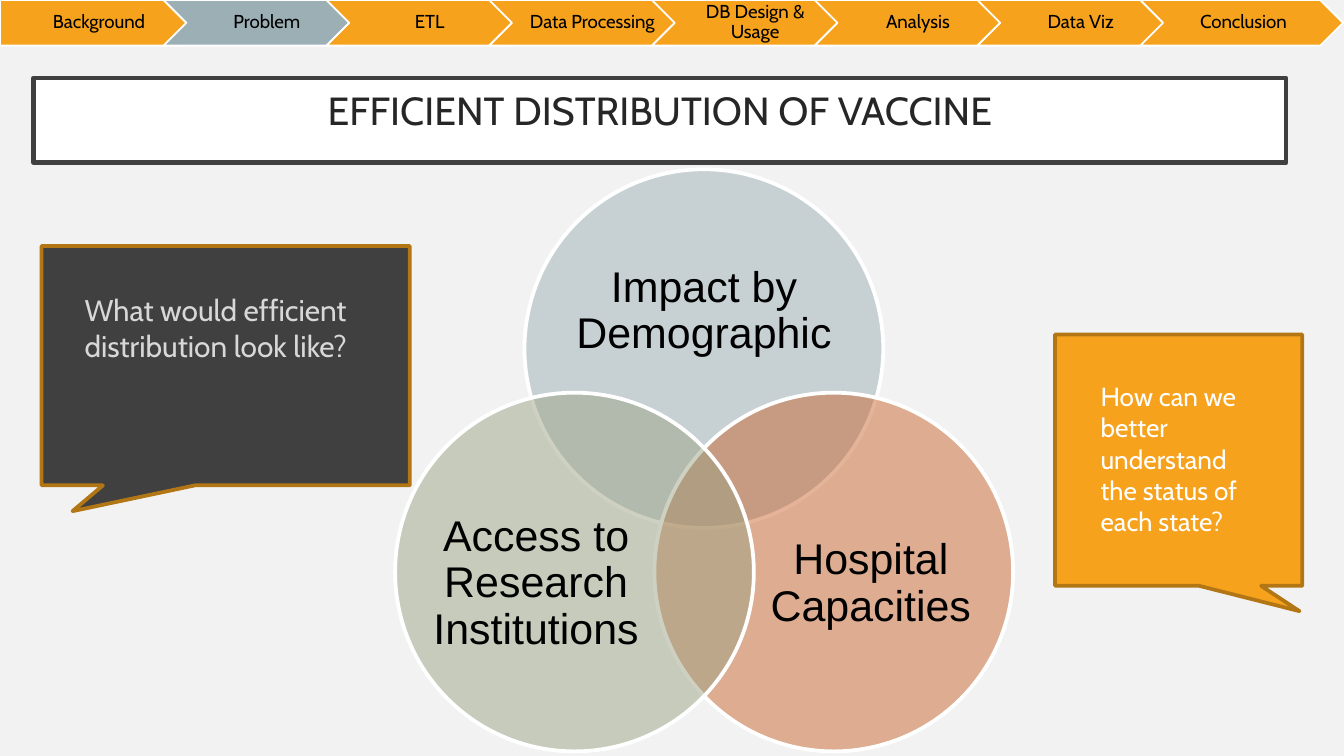
"""Build the vaccine distribution slide: progress bar, title, callouts and Venn diagram."""
from lxml.etree import SubElement
from pptx import Presentation
from pptx.dml.color import RGBColor
from pptx.enum.shapes import MSO_SHAPE as Preset
from pptx.enum.text import MSO_ANCHOR as Anchor, PP_ALIGN as Align
from pptx.oxml.ns import qn
from pptx.util import Pt

WHITE = RGBColor(0xFF, 0xFF, 0xFF)
BLACK = RGBColor(0, 0, 0)
PALE = RGBColor(0xF2, 0xF2, 0xF2)
SILVER = RGBColor(0xD8, 0xD8, 0xD8)
CHARCOAL = RGBColor(0x40, 0x40, 0x40)
INK = RGBColor(0x26, 0x26, 0x26)
ORANGE = RGBColor(0xF6, 0xA2, 0x1D)
BROWN = RGBColor(0xB3, 0x76, 0x15)
SLATE = RGBColor(0x9B, 0xAF, 0xB5)
RUST = RGBColor(0xC9, 0x64, 0x2E)
SAGE = RGBColor(0x9C, 0xA3, 0x83)

STEPS = ["Background", "Problem", "ETL", "Data Processing",
         "DB Design & Usage", "Analysis", "Data Viz", "Conclusion"]
CURRENT_STEP = "Problem"
TITLE = "EFFICIENT DISTRIBUTION OF VACCINE"
CALLOUTS = [
    {"text": "What would efficient distribution look like?", "size": 16,
     "color": SILVER, "fill": CHARCOAL, "box": (22.3, 131.8, 197.3, 128.2),
     "tail": (-0.416, 0.608), "text_box": (38.2, 149, 182, 80.6),
     "insets": (7.2, 7.2, 7.2, 7.2)},
    {"text": "How can we better understand the status of each state?", "size": 14,
     "color": WHITE, "fill": ORANGE, "box": (565.2, 179.3, 132.5, 134.6),
     "tail": (0.489, 0.601), "text_box": (582.5, 200.2, 99.4, 92.2),
     "insets": (7.2, 3.6, 7.2, 3.6)},
]
CIRCLES = [
    ("Impact by Demographic", SLATE, (281, 90.7), (306.7, 123.8, 141.1, 86.4)),
    ("Hospital Capacities", RUST, (350.6, 210.4), (409, 260, 115.2, 105.8)),
    ("Access to Research Institutions", SAGE, (211.7, 210.4), (229.7, 260, 115.2, 105.8)),
]

STEP_WIDTH, STEP_HEIGHT, STEP_PITCH = 108.7, 24.5, 87.2
CIRCLE_SIZE = 192.2
CIRCLE_ALPHA = 49


def add_box(shapes, preset, box, fill, line, line_width, alpha=None):
    shape = shapes.add_shape(preset, *map(Pt, box))
    shape.shadow.inherit = False
    shape.fill.solid()
    shape.fill.fore_color.rgb = fill
    shape.line.color.rgb = line
    shape.line.width = Pt(line_width)
    if alpha is not None:
        color = shape.fill._xPr.find(qn("a:solidFill"))[0]
        SubElement(color, qn("a:alpha")).set("val", str(alpha * 1000))
    return shape


def write(shape, text, size, color, insets, font="Cabin", anchor=Anchor.TOP,
          align=Align.CENTER, spacing=0.9):
    frame = shape.text_frame
    frame.word_wrap = True
    frame.vertical_anchor = anchor
    (frame.margin_left, frame.margin_top,
     frame.margin_right, frame.margin_bottom) = map(Pt, insets)
    paragraph = frame.paragraphs[0]
    paragraph.alignment = align
    paragraph.line_spacing = spacing
    run = paragraph.add_run()
    run.text = text
    run.font.name = font
    run.font.size = Pt(size)
    run.font.color.rgb = color


def add_text(shapes, box, *args, **options):
    write(shapes.add_textbox(*map(Pt, box)), *args, **options)


def add_progress_bar(slide):
    shapes = slide.shapes.add_group_shape().shapes
    for index, step in enumerate(STEPS):
        left = index * STEP_PITCH + (0.4 if index else 0)
        preset = Preset.CHEVRON if index else Preset.PENTAGON
        fill = SLATE if step == CURRENT_STEP else ORANGE
        add_box(shapes, preset, (left, 0, STEP_WIDTH, STEP_HEIGHT), fill, WHITE, 1)
        label_left, label_width = (left + STEP_HEIGHT / 2, 84.2) if index else (0, 103)
        add_text(shapes, (label_left, 0, label_width, STEP_HEIGHT), step, 10, BLACK,
                 (3 if index else 4, 2, 1, 2), anchor=Anchor.MIDDLE)


def add_callouts(slide):
    for callout in CALLOUTS:
        shape = add_box(slide.shapes, Preset.RECTANGULAR_CALLOUT, callout["box"],
                        callout["fill"], BROWN, 2)
        shape.adjustments[0], shape.adjustments[1] = callout["tail"]
        add_text(slide.shapes, callout["text_box"], callout["text"], callout["size"],
                 callout["color"], callout["insets"], align=Align.LEFT, spacing=1.0)


def add_venn(slide):
    shapes = slide.shapes.add_group_shape().shapes
    for text, fill, corner, text_box in CIRCLES:
        add_box(shapes, Preset.OVAL, (*corner, CIRCLE_SIZE, CIRCLE_SIZE),
                fill, WHITE, 2, CIRCLE_ALPHA)
        add_text(shapes, text_box, text, 23, BLACK, (0, 0, 0, 0),
                 font="Arial", anchor=Anchor.MIDDLE)


def main():
    presentation = Presentation()
    presentation.slide_width, presentation.slide_height = Pt(720), Pt(405)
    slide = presentation.slides.add_slide(presentation.slide_layouts[6])
    slide.background.fill.solid()
    slide.background.fill.fore_color.rgb = PALE
    add_progress_bar(slide)
    title = add_box(slide.shapes, Preset.RECTANGLE, (18, 41.8, 671, 45.4),
                    WHITE, CHARCOAL, 2.5)
    write(title, TITLE, 21, INK, (7.2, 7.2, 7.2, 7.2))
    add_callouts(slide)
    add_venn(slide)
    presentation.save("out.pptx")


if __name__ == "__main__":
    main()
